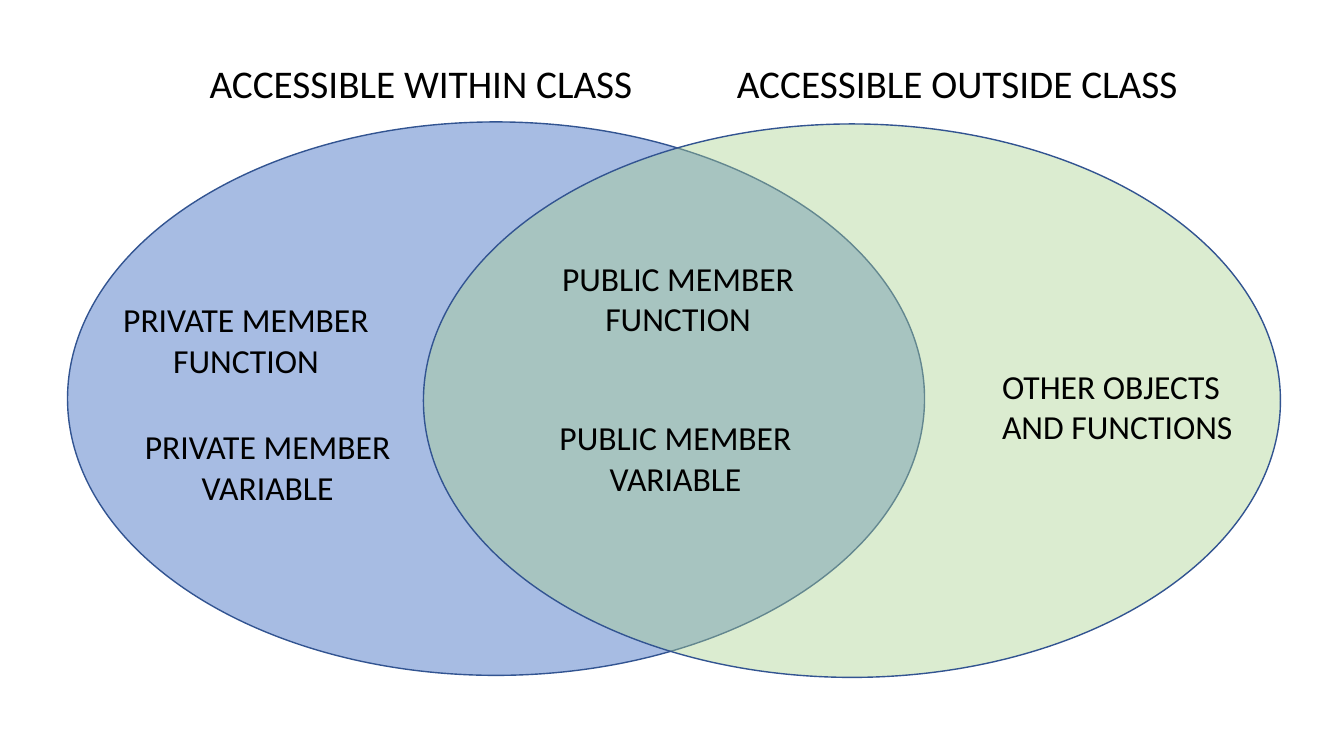
from pptx import Presentation
from pptx.dml.color import RGBColor
from pptx.enum.shapes import MSO_SHAPE
from pptx.enum.text import MSO_AUTO_SIZE, PP_ALIGN
from pptx.oxml.ns import qn
from pptx.util import Inches, Pt
from lxml.etree import SubElement

THEME = {
    "font": "Calibri",
    "text": RGBColor.from_string("000000"),
    "outline": RGBColor.from_string("325491"),
    "within": RGBColor.from_string("4472C4"),
    "outside": RGBColor.from_string("A9D18E"),
    "heading_size": Pt(28),
    "label_size": Pt(24),
    "outline_width": Pt(1),
}

# Sets: left, top, theme colour, opacity in percent
SET_SIZE = (8.5, 5.49)
SETS = [
    (0.67, 1.21, "within", 47),
    (4.2, 1.23, "outside", 41),
]

# Headings: text, left, width
HEADING_TOP, HEADING_HEIGHT = 0.54, 0.57
HEADINGS = [
    ("ACCESSIBLE WITHIN CLASS", 1.98, 4.44),
    ("ACCESSIBLE OUTSIDE CLASS", 7.21, 4.61),
]

# Labels: text, left, top, width, alignment
LABEL_HEIGHT = 0.91
LABELS = [
    ("PRIVATE MEMBER FUNCTION", 1.06, 2.92, 2.76, PP_ALIGN.CENTER),
    ("PRIVATE MEMBER VARIABLE", 1.11, 4.18, 3.09, PP_ALIGN.CENTER),
    ("PUBLIC MEMBER FUNCTION", 5.17, 2.51, 3.11, PP_ALIGN.CENTER),
    ("PUBLIC MEMBER VARIABLE", 5.12, 4.09, 3.16, PP_ALIGN.CENTER),
    ("OTHER OBJECTS AND FUNCTIONS", 9.84, 3.58, 2.85, PP_ALIGN.LEFT),
]


def add_set(slide, left, top, colour, opacity):
    """Draw one translucent ellipse of the Venn diagram."""
    box = [Inches(length) for length in (left, top, *SET_SIZE)]
    shape = slide.shapes.add_shape(MSO_SHAPE.OVAL, *box)
    shape.shadow.inherit = False
    shape.fill.solid()
    shape.fill.fore_color.rgb = THEME[colour]
    colour_element = shape.fill._xPr.find(qn("a:solidFill"))[0]
    SubElement(colour_element, qn("a:alpha")).set("val", str(opacity * 1000))
    shape.line.color.rgb = THEME["outline"]
    shape.line.width = THEME["outline_width"]


def add_text(slide, text, box, size, alignment=PP_ALIGN.LEFT, wrap=True):
    """Place one text box in the theme's font and colour."""
    shape = slide.shapes.add_textbox(*[Inches(length) for length in box])
    text_frame = shape.text_frame
    text_frame.text = text
    text_frame.word_wrap = wrap
    text_frame.auto_size = MSO_AUTO_SIZE.SHAPE_TO_FIT_TEXT
    paragraph = text_frame.paragraphs[0]
    paragraph.alignment = alignment
    font = paragraph.runs[0].font
    font.name = THEME["font"]
    font.size = size
    font.color.rgb = THEME["text"]


presentation = Presentation()
presentation.slide_width = Inches(13.33)
presentation.slide_height = Inches(7.5)
blank_layout = presentation.slide_layouts[6]
slide = presentation.slides.add_slide(blank_layout)

for venn_set in SETS:
    add_set(slide, *venn_set)
for text, left, top, width, alignment in LABELS:
    add_text(slide, text, (left, top, width, LABEL_HEIGHT),
             THEME["label_size"], alignment)
for text, left, width in HEADINGS:
    add_text(slide, text, (left, HEADING_TOP, width, HEADING_HEIGHT),
             THEME["heading_size"], wrap=False)

presentation.save("out.pptx")
